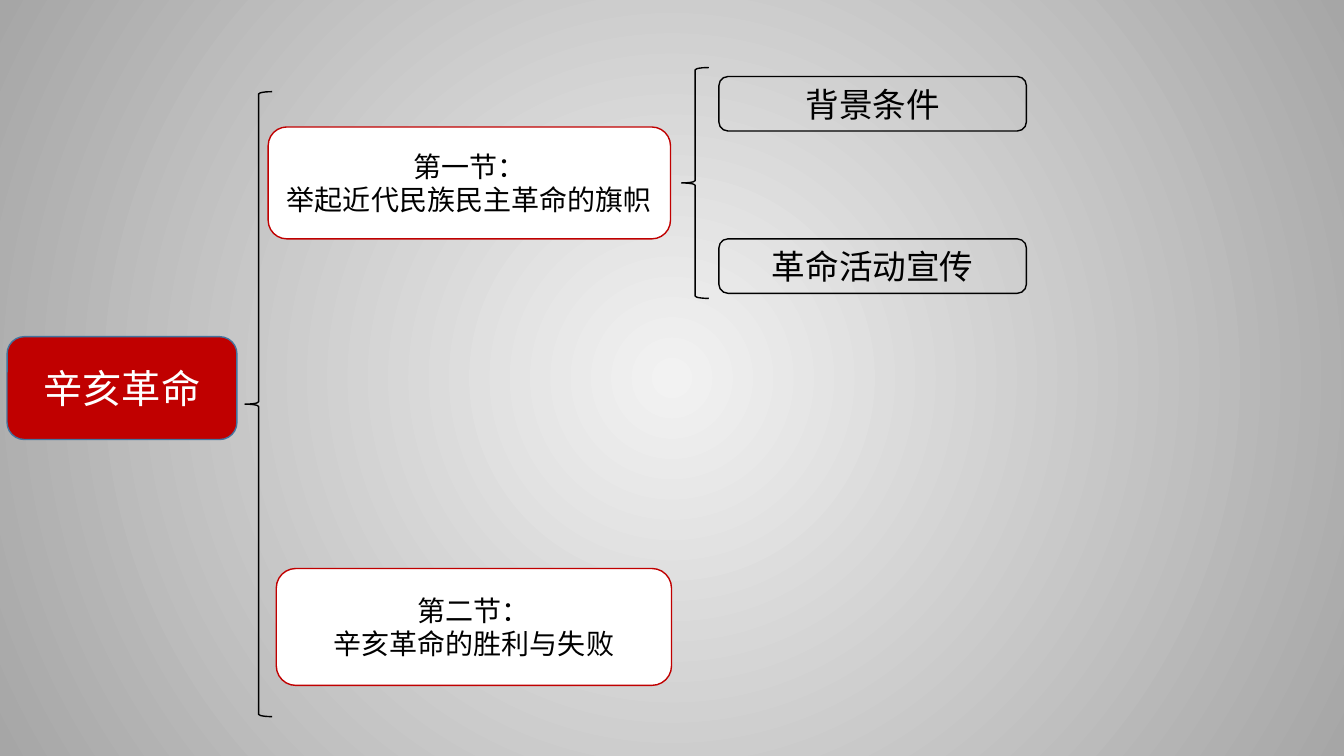
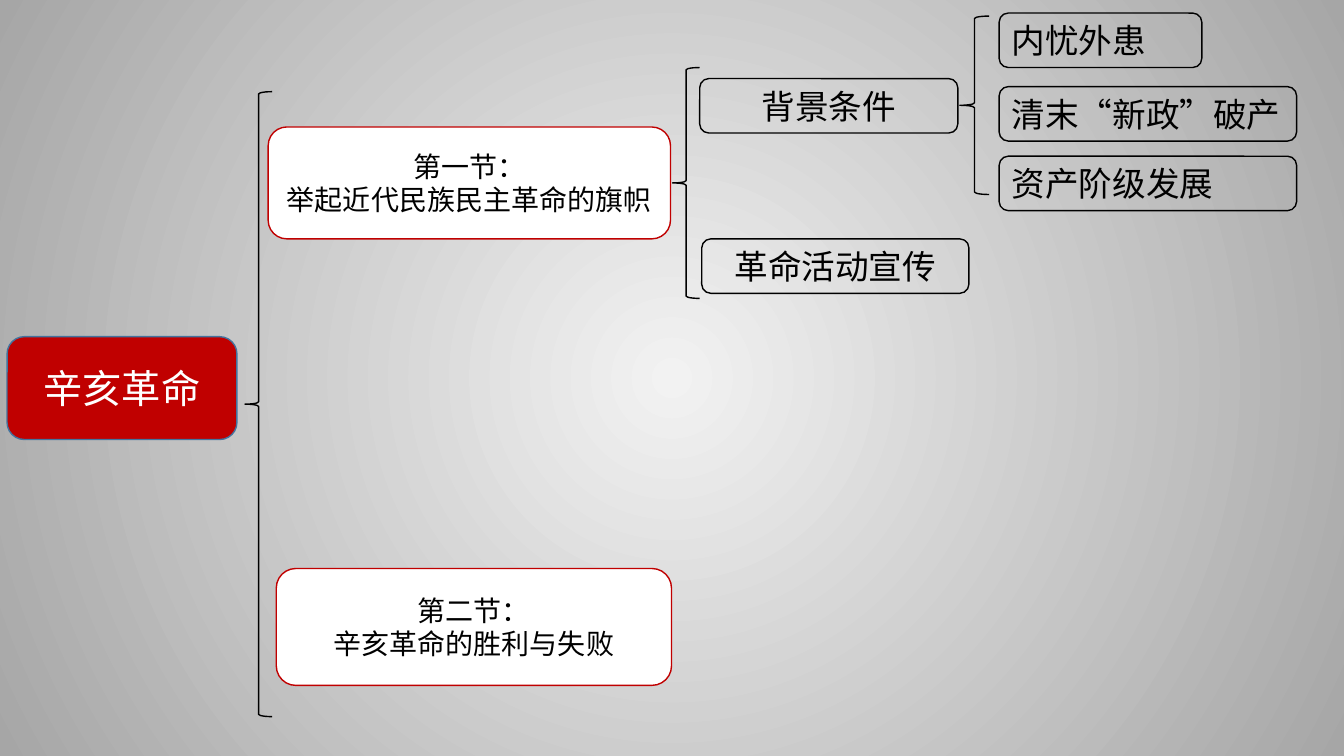
from lxml.etree import SubElement
from pptx import Presentation
from pptx.dml.color import RGBColor
from pptx.enum.shapes import MSO_SHAPE
from pptx.enum.text import MSO_ANCHOR, PP_ALIGN
from pptx.oxml.ns import qn
from pptx.util import Inches, Pt

FONT = "Noto Sans CJK SC"
RED = RGBColor(0xC0, 0x00, 0x00)
BLUE = RGBColor(0x43, 0x73, 0x9E)
BLACK = RGBColor(0x00, 0x00, 0x00)
WHITE = RGBColor(0xFF, 0xFF, 0xFF)
LIGHT_GRAY = RGBColor(0xF2, 0xF2, 0xF2)
DARK_GRAY = RGBColor(0xA6, 0xA6, 0xA6)

TOPIC_H = 0.54


def set_background(master):
    """Circular gradient, light in the centre, shared by all slides."""
    fill = master.background.fill
    fill.gradient()
    for stop, color, position in zip(fill.gradient_stops,
                                     (LIGHT_GRAY, DARK_GRAY), (0, 1)):
        stop.color.rgb = color
        stop.position = position
    grad = master.element.find(".//" + qn("a:gradFill"))
    grad.remove(grad.find(qn("a:lin")))
    path = SubElement(grad, qn("a:path"), path="circle")
    SubElement(path, qn("a:fillToRect"),
               {side: "50000" for side in "ltrb"})


def add_outline(s, kind, box, line, fill=None):
    sp = s.shapes.add_shape(kind, *map(Inches, box))
    sp.shadow.inherit = False
    if fill is None:
        sp.fill.background()
    else:
        sp.fill.solid()
        sp.fill.fore_color.rgb = fill
    sp.line.color.rgb = line
    sp.line.width = Pt(1)
    return sp


def add_brace(s, *box):
    add_outline(s, MSO_SHAPE.LEFT_BRACE, box, BLACK)


def add_node(s, box, text, size, line=BLACK, fill=None, color=BLACK,
             align=PP_ALIGN.CENTER):
    sp = add_outline(s, MSO_SHAPE.ROUNDED_RECTANGLE, box, line, fill)
    tf = sp.text_frame
    tf.word_wrap = True
    tf.vertical_anchor = MSO_ANCHOR.MIDDLE
    tf.text = text
    for p in tf.paragraphs:
        p.alignment = align
        p.font.size = Pt(size)
        p.font.color.rgb = color
        p.font.name = FONT
        # East Asian typeface
        SubElement(p._p.pPr.find(qn("a:defRPr")), qn("a:ea"), typeface=FONT)


def add_outline_tree(s):
    """Root topic and the two sections."""
    add_node(s, (0.07, 3.34, 2.28, 1.02), "辛亥革命", 28, BLUE, RED, WHITE)
    add_brace(s, 2.43, 0.91, 0.27, 6.2)
    for box, text in (
        ((2.66, 1.26, 3.99, 1.11), "第一节：\n举起近代民族民主革命的旗帜"),
        ((2.74, 5.64, 3.92, 1.16), "第二节：\n辛亥革命的胜利与失败"),
    ):
        add_node(s, box, text, 20, RED, WHITE)


def add_topics(s, brace_left, background_box, activity_box):
    """Topics of section one; each box is left, top, width."""
    add_brace(s, brace_left, 0.67, 0.27, 2.29)
    for box, text in ((background_box, "背景条件"),
                      (activity_box, "革命活动宣传")):
        add_node(s, (*box, TOPIC_H), text, 24)


def add_causes(s, left, top):
    """Details of the background topic, right of their brace."""
    add_brace(s, left, top + 0.03, 0.29, 1.77)
    for dy, width, text in ((0, 2.01, "内忧外患"),
                            (0.73, 2.95, "清末“新政”破产"),
                            (1.42, 2.95, "资产阶级发展")):
        add_node(s, (left + 0.39, top + dy, width, TOPIC_H), text, 24,
                 align=PP_ALIGN.LEFT)


def main():
    prs = Presentation()
    prs.slide_width, prs.slide_height = Inches(13.33), Inches(7.5)
    set_background(prs.slide_master)
    blank = prs.slide_layouts[6]

    # Slide 1: sections and topics
    s = prs.slides.add_slide(blank)
    add_outline_tree(s)
    add_topics(s, 6.76, (7.13, 0.76, 3.05), (7.13, 2.37, 3.05))

    # Slide 2: background topic expanded
    s = prs.slides.add_slide(blank)
    add_outline_tree(s)
    add_topics(s, 6.67, (6.94, 0.78, 2.56), (6.96, 2.37, 2.65))
    add_causes(s, 9.52, 0.13)

    prs.save("out.pptx")


if __name__ == "__main__":
    main()
